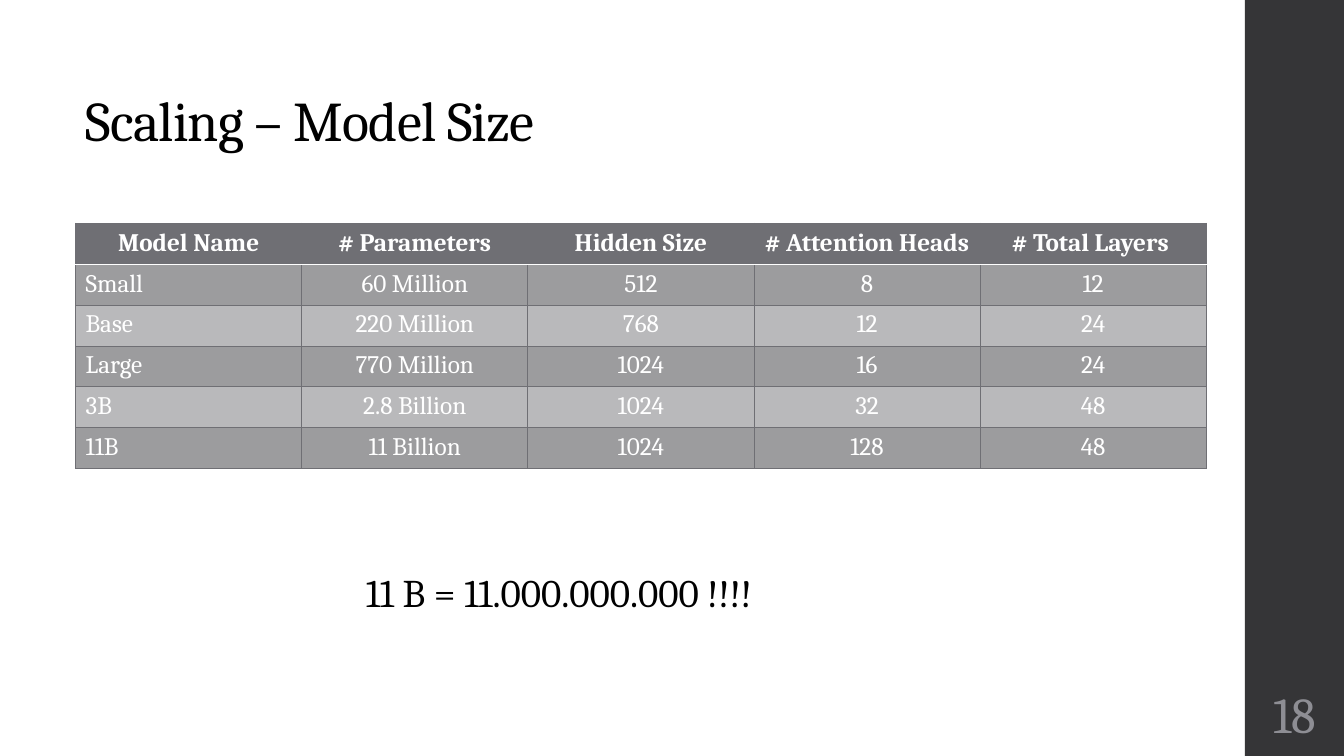
from lxml.etree import SubElement
from pptx import Presentation
from pptx.dml.color import RGBColor
from pptx.enum.shapes import MSO_SHAPE as Shape
from pptx.enum.text import MSO_ANCHOR as Anchor, PP_ALIGN as Align
from pptx.oxml import parse_xml
from pptx.oxml.ns import nsdecls, qn
from pptx.util import Pt

FONT = "Cambria"
COLORS = {
    "bar": "353537",
    "number": "8E8E94",
    "text": "000000",
    "light_text": "FFFFFF",
    "header": "6F6F74",
    "odd_row": "9C9C9E",
    "even_row": "B9B9BB",
    "rule": "FFFFFF",
}
MODELS = [
    ["Model Name", "# Parameters", "Hidden Size", "# Attention Heads", "# Total Layers "],
    ["Small", "60 Million", "512", "8", "12"],
    ["Base", "220 Million", "768", "12", "24"],
    ["Large", "770 Million", "1024", "16", "24"],
    ["3B", "2.8 Billion", "1024", "32", "48"],
    ["11B", "11 Billion", "1024", "128", "48"],
]


def rgb(name):
    return RGBColor.from_string(COLORS[name])


def write(frame, text, size, color, align=Align.LEFT, bold=False):
    frame.text = text
    paragraph = frame.paragraphs[0]
    paragraph.alignment = align
    font = paragraph.font
    font.name, font.size, font.bold = FONT, Pt(size), bold
    font.color.rgb = rgb(color)
    return paragraph


def add_title(slide, left, top, width, height):
    title = slide.shapes.title
    title.left, title.top, title.width, title.height = map(Pt, (left, top, width, height))
    frame = title.text_frame
    frame.vertical_anchor = Anchor.BOTTOM
    paragraph = write(frame, "Scaling – Model Size", 40, "text")
    paragraph.line_spacing = 0.9
    paragraph.runs[0].font._element.set("spc", "-50")


def add_side_bar(slide, left, top, width, height):
    bar = slide.shapes.add_shape(Shape.RECTANGLE, Pt(left), Pt(top), Pt(width), Pt(height))
    bar.shadow.inherit = False
    bar.fill.solid()
    bar.fill.fore_color.rgb = rgb("bar")
    bar.line.fill.background()

    # Slide number near the foot of the bar
    number = slide.shapes.add_textbox(Pt(left), Pt(top + height - 54), Pt(width), Pt(46.8))
    frame = number.text_frame
    frame.word_wrap = True
    frame.vertical_anchor = Anchor.MIDDLE
    frame.margin_left = frame.margin_right = Pt(3.6)
    write(frame, "18", 36, "number", Align.CENTER)


def set_borders(cell, top, bottom):
    properties = cell._tc.get_or_add_tcPr()
    sides = {"L": "header", "R": "header", "T": top, "B": bottom}
    for position, (side, color) in enumerate(sides.items()):
        width = Pt(1.1) if color == "rule" else Pt(0.75)
        line = parse_xml(f'<a:ln{side} {nsdecls("a")} w="{width}"/>')
        fill = SubElement(line, qn("a:solidFill"))
        SubElement(fill, qn("a:srgbClr"), val=COLORS[color])
        properties.insert(position, line)


def add_model_table(slide, left, top, width, height):
    rows, columns = len(MODELS), len(MODELS[0])
    table = slide.shapes.add_table(
        rows, columns, Pt(left), Pt(top), Pt(width), Pt(height)).table
    for r, values in enumerate(MODELS):
        is_header = r == 0
        fill = "header" if is_header else "odd_row" if r % 2 else "even_row"
        for c, value in enumerate(values):
            cell = table.cell(r, c)
            align = Align.CENTER if is_header or c else Align.LEFT
            write(cell.text_frame, value, 18, "light_text", align, is_header)
            cell.fill.solid()
            cell.fill.fore_color.rgb = rgb(fill)
            set_borders(cell, top="rule" if r == 1 else "header",
                        bottom="rule" if is_header else "header")


def add_remark(slide, left, top, width, height):
    remark = slide.shapes.add_textbox(Pt(left), Pt(top), Pt(width), Pt(height))
    remark.text_frame.word_wrap = True
    write(remark.text_frame, "11 B = 11.000.000.000 !!!!", 28, "text")


def main():
    presentation = Presentation()
    presentation.slide_width, presentation.slide_height = Pt(960), Pt(540)
    slide = presentation.slides.add_slide(presentation.slide_layouts[5])
    add_side_bar(slide, 889.2, 0, 70.8, 540)
    add_title(slide, 54, 8.64, 763.2, 104.4)
    add_model_table(slide, 54, 159.6, 807.6, 175.2)
    add_remark(slide, 254.2, 402.5, 362.9, 41)
    presentation.save("out.pptx")


if __name__ == "__main__":
    main()
